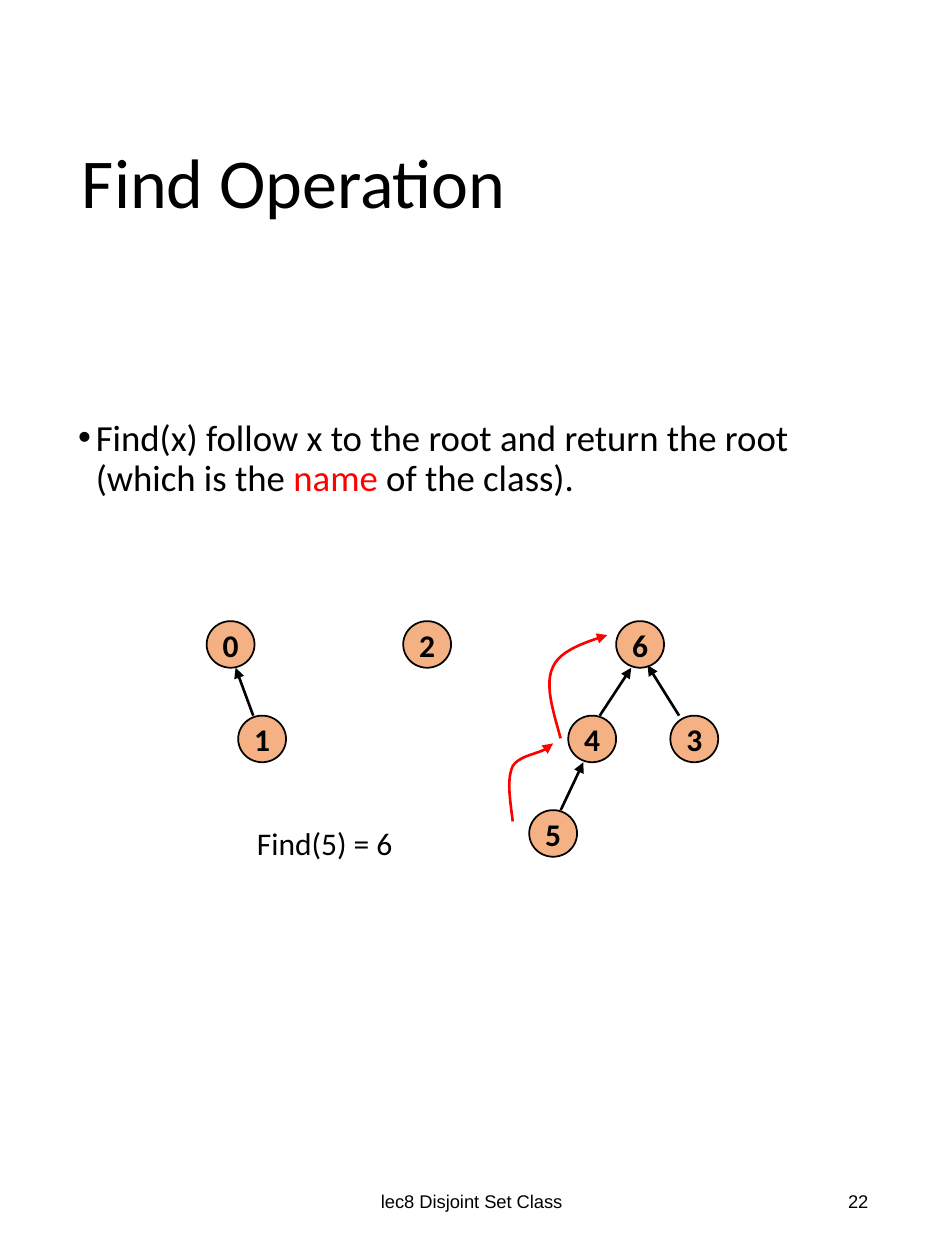
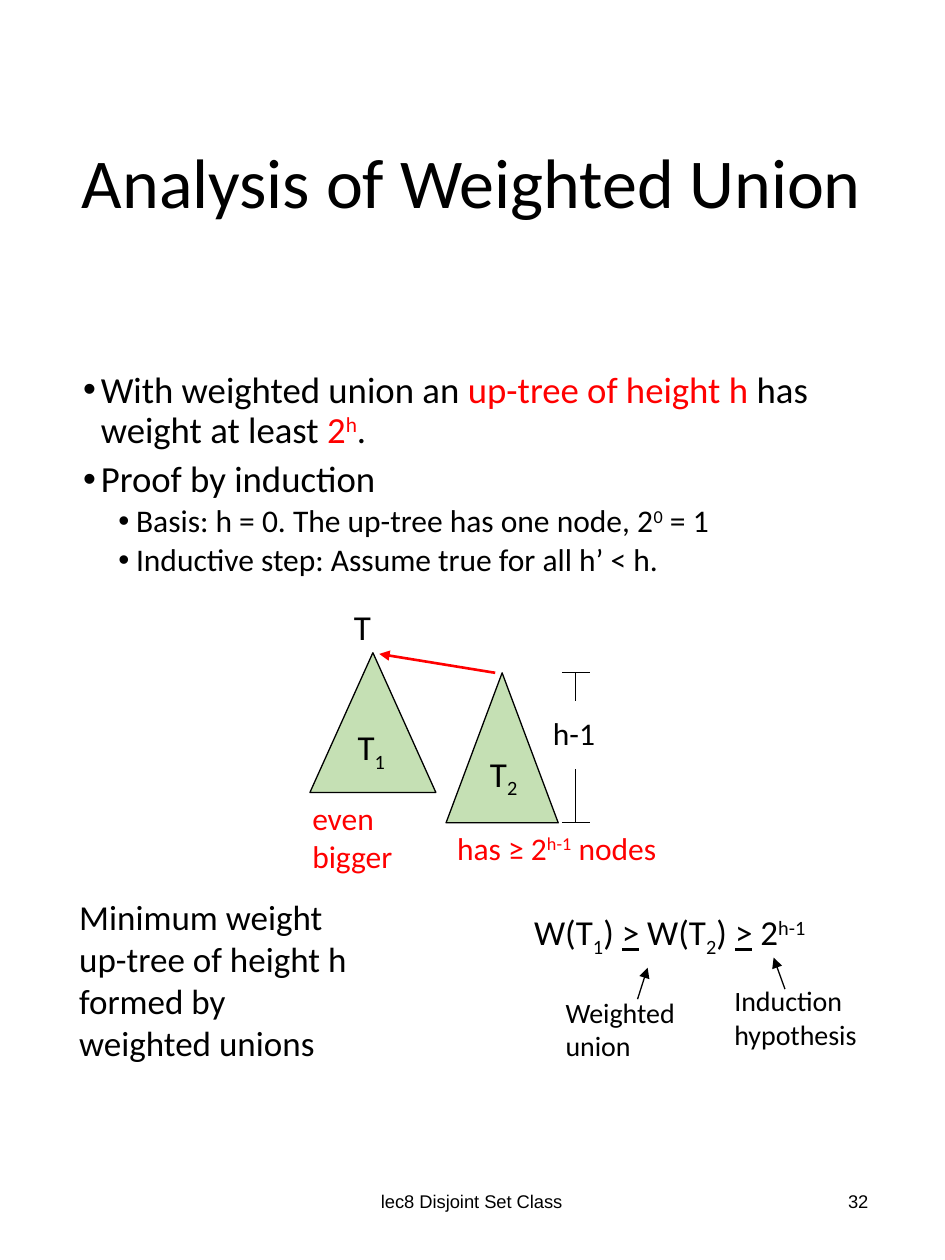
from lxml import etree
from pptx import Presentation
from pptx import util as u
from pptx.dml.color import RGBColor
from pptx.enum import shapes, text
from pptx.oxml.ns import qn

COLORS = {"ink": "000000", "accent": "FF0000", "node": "F4B183", "tree": "C5E0B4"}
RED = {"color": "accent"}
SUB = {"base": -25}
SUP = {"base": 30}
UNDERLINED = {"underline": True}
NODE_WIDTH, NODE_HEIGHT, ROW_STEP = 0.38, 0.37, 0.75


def rgb(name):
    """Look up a named colour."""
    return RGBColor.from_string(COLORS[name])


def write(para, content, size=18, color="ink", font="Calibri", bold=False, underline=False, base=0):
    """Add one formatted span to a paragraph."""
    span = para.add_run()
    span.text = content
    span.font.name = font
    span.font.size = u.Pt(size)
    span.font.bold = bold
    span.font.underline = underline
    span.font.color.rgb = rgb(color)
    if base:
        span.font._element.set("baseline", str(base * 1000))


def fill_frame(frame, lines, align=text.PP_ALIGN.LEFT, anchor=text.MSO_ANCHOR.TOP, **style):
    """Write lines, each a string or a list of strings and (string, format) pairs."""
    frame.word_wrap = True
    frame.auto_size = text.MSO_AUTO_SIZE.NONE
    frame.vertical_anchor = anchor
    for index, line in enumerate(lines):
        para = frame.add_paragraph() if index else frame.paragraphs[0]
        para.alignment = align
        for piece in [line] if isinstance(line, str) else line:
            content, extra = (piece, {}) if isinstance(piece, str) else piece
            write(para, content, **{**style, **extra})


def place(shape, left, top, width, height):
    """Move and size a shape."""
    shape.left, shape.top = u.Inches(left), u.Inches(top)
    shape.width, shape.height = u.Inches(width), u.Inches(height)


def add_label(page, left, top, width, height, lines, **style):
    """Add a text box."""
    box = page.shapes.add_textbox(*map(u.Inches, (left, top, width, height)))
    fill_frame(box.text_frame, lines, **style)


def style_line(shape, color, weight, arrow):
    """Set line colour and weight, with an optional arrowhead at the end."""
    shape.line.color.rgb = rgb(color)
    shape.line.width = u.Pt(weight)
    if arrow:
        etree.SubElement(shape.line._get_or_add_ln(), qn("a:tailEnd"), type="triangle")


def add_line(holder, left, top, start, end, color="ink", weight=0.75, arrow=False):
    """Draw a straight line between two points given relative to a corner."""
    ends = [u.Inches(value) for x, y in (start, end) for value in (left + x, top + y)]
    line = holder.shapes.add_connector(shapes.MSO_CONNECTOR.STRAIGHT, *ends)
    style_line(line, color, weight, arrow)
    etree.SubElement(line._element.spPr, qn("a:effectLst"))


def add_shape(page, kind, left, top, width, height, fill, weight):
    """Add an outlined preset shape."""
    shape = page.shapes.add_shape(kind, *map(u.Inches, (left, top, width, height)))
    shape.shadow.inherit = False
    shape.fill.solid()
    shape.fill.fore_color.rgb = rgb(fill)
    style_line(shape, "ink", weight, False)
    return shape


def bezier(points, t):
    """Find the point at t on a cubic curve."""
    weights = ((1 - t) ** 3, 3 * t * (1 - t) ** 2, 3 * t ** 2 * (1 - t), t ** 3)
    return tuple(sum(w * point[axis] for w, point in zip(weights, points)) for axis in (0, 1))


def add_curve(page, left, top, points, steps=12):
    """Draw a red curved arrow through joined cubic pieces."""
    track = [bezier(points[first:first + 4], step / steps)
             for first in range(0, len(points) - 1, 3) for step in range(1, steps + 1)]
    track = [(u.Inches(left + x), u.Inches(top + y)) for x, y in [points[0]] + track]
    builder = page.shapes.build_freeform(*track[0])
    builder.add_line_segments(track[1:], close=False)
    curve = builder.convert_to_shape()
    curve.shadow.inherit = False
    curve.fill.background()
    style_line(curve, "accent", 1.5, True)


def add_page(deck, title, number):
    """Add a slide with its title and footer."""
    page = deck.slides.add_slide(deck.slide_layouts[1])
    place(page.shapes.title, 0.55, 0.51, 6.47, 1.93)
    middle = text.MSO_ANCHOR.MIDDLE
    fill_frame(page.shapes.title.text_frame, [title], anchor=middle, size=40)
    page.shapes.title.text_frame.paragraphs[0].line_spacing = 0.9
    footer = {"anchor": middle, "size": 10.5, "font": "Arial"}
    add_label(page, 2.48, 9.27, 2.53, 0.53, ["lec8 Disjoint Set Class"],
              align=text.PP_ALIGN.CENTER, **footer)
    add_label(page, 5.3, 9.27, 1.69, 0.53, [number], align=text.PP_ALIGN.RIGHT, **footer)
    return page


def add_bullets(page, left, top, width, height, items):
    """Fill the body placeholder with (level, line) items."""
    body = page.placeholders[1]
    place(body, left, top, width, height)
    sized = [[(p, {}) if isinstance(p, str) else p for p in line] for _, line in items]
    lines = [[(content, {"size": 18 if level else 21, **extra}) for content, extra in line]
             for (level, _), line in zip(items, sized)]
    fill_frame(body.text_frame, lines)
    for index, (para, (level, _)) in enumerate(zip(body.text_frame.paragraphs, items)):
        para.level = level
        props = para._p.get_or_add_pPr()
        props.set("marL", str(u.Inches(0.14 + 0.28 * level)))
        props.set("indent", str(u.Inches(-0.14)))
        etree.SubElement(props, qn("a:buFont"), typeface="Arial")
        etree.SubElement(props, qn("a:buChar"), char="•")
        para.line_spacing = 0.9
        para.space_before = u.Pt((2.8 if level else 5.7) if index else 0)


def add_forest(page, left, top):
    """Draw the up-trees and the path that Find follows."""
    for points in (
        [(2.43, 1.59), (2.41, 1.42), (2.38, 1.26), (2.43, 1.15), (2.49, 1.05), (2.7, 1.05), (2.75, 0.97)],
        [(2.81, 0.93), (2.75, 0.71), (2.68, 0.5), (2.75, 0.36), (2.81, 0.23), (3, 0.17), (3.18, 0.11)],
    ):
        add_curve(page, left, top, points)
    nodes = [(0, 0), (0.25, 1), (1.56, 0), (3.68, 1), (2.87, 1), (2.56, 2), (3.25, 0)]
    for name, (x, row) in enumerate(nodes):
        node = add_shape(page, shapes.MSO_SHAPE.OVAL, left + x, top + row * ROW_STEP,
                         NODE_WIDTH, NODE_HEIGHT, "node", 1)
        fill_frame(node.text_frame, [str(name)], align=text.PP_ALIGN.CENTER,
                   anchor=text.MSO_ANCHOR.MIDDLE, bold=True)
        node.text_frame.word_wrap = False
    for child, parent in (
        ((0.37, 0.75), (0.23, 0.37)), ((3.12, 0.75), (3.37, 0.37)),
        ((3.75, 0.75), (3.5, 0.35)), ((2.81, 1.5), (2.99, 1.12)),
    ):
        add_line(page, left, top, child, parent, weight=1.5, arrow=True)
    add_label(page, left + 0.3, top + 1.56, 1.55, 0.4, ["Find(5) = 6"])


def add_union(page, left, top):
    """Draw tree T2 being joined to tree T1, with its height."""
    for x, y, width, height in ((0.08, 0.42, 1, 1.11), (1.16, 0.58, 0.89, 1.19)):
        add_shape(page, shapes.MSO_SHAPE.ISOSCELES_TRIANGLE, left + x, top + y,
                  width, height, "tree", 0.75)
    add_line(page, left, top, (1.55, 0.58), (0.63, 0.43), "accent", 1.5, True)
    bracket = page.shapes.add_group_shape()
    for edge, inner in ((0.58, 0.8), (1.77, 1.34)):
        add_line(bracket, left, top, (2.08, edge), (2.3, edge))
        add_line(bracket, left, top, (2.19, edge), (2.19, inner))
    for x, y, width, height, lines, style in (
        (0.33, 0, 0.4, 0.44, ["T"], {"size": 20}),
        (0.36, 0.95, 0.5, 0.44, [["T", ("1", SUB)]], {"size": 20}),
        (1.41, 1.16, 0.5, 0.44, [["T", ("2", SUB)]], {"size": 20}),
        (1.91, 0.86, 0.6, 0.4, ["h-1"], {}),
        (1.15, 1.77, 2.04, 0.4, [["has ≥ 2", ("h-1", SUP), " nodes"]], RED),
        (0, 1.53, 0.95, 0.71, ["even", "bigger"], RED),
    ):
        add_label(page, left + x, top + y, width, height, lines, **style)


def add_inequality(page, left, top):
    """Place the weight inequality with its reasons."""
    add_label(page, left, top, 2.67, 1.45,
              ["Minimum weight", "up-tree of height h", "formed by", "weighted unions"], size=20)
    formula = ["W(T", ("1", SUB), ") ", (">", UNDERLINED), " W(T", ("2", SUB), ") ",
               (">", UNDERLINED), " 2", ("h-1", SUP)]
    add_label(page, left + 3.61, top + 0.12, 2.9, 0.44, [formula], size=20)
    add_label(page, left + 3.86, top + 0.79, 1.2, 0.64, ["Weighted", "union"], size=16)
    add_label(page, left + 5.2, top + 0.7, 1.33, 0.64, ["Induction", "hypothesis"], size=16)
    add_line(page, left, top, (4.53, 0.87), (4.61, 0.62), arrow=True)
    add_line(page, left, top, (5.7, 0.79), (5.61, 0.54), arrow=True)


def find_page(deck):
    """Build the slide on the find operation."""
    page = add_page(deck, "Find Operation", "22")
    add_bullets(page, 0.52, 3.28, 6.38, 0.81, [
        (0, ["Find(x) follow x to the root and return the root (which is the ",
             ("name", RED), " of the class)."]),
    ])
    add_forest(page, 1.64, 4.93)


def analysis_page(deck):
    """Build the slide on weighted union."""
    page = add_page(deck, "Analysis of Weighted Union", "32")
    add_bullets(page, 0.56, 2.9, 6.38, 2.84, [
        (0, ["With weighted union an ", ("up-tree of height h", RED), " has weight at least ",
             ("2", RED), ("h", {**RED, **SUP}), "."]),
        (0, ["Proof by induction"]),
        (1, ["Basis: h = 0. The up-tree has one node, 2", ("0", SUP), " = 1"]),
        (1, ["Inductive step: Assume true for all h’ < h."]),
    ])
    add_union(page, 2.38, 4.76)
    add_inequality(page, 0.53, 7.06)


def main():
    """Build and save the deck."""
    deck = Presentation()
    deck.slide_width, deck.slide_height = u.Inches(7.5), u.Inches(10)
    find_page(deck)
    analysis_page(deck)
    deck.save("out.pptx")


if __name__ == "__main__":
    main()
